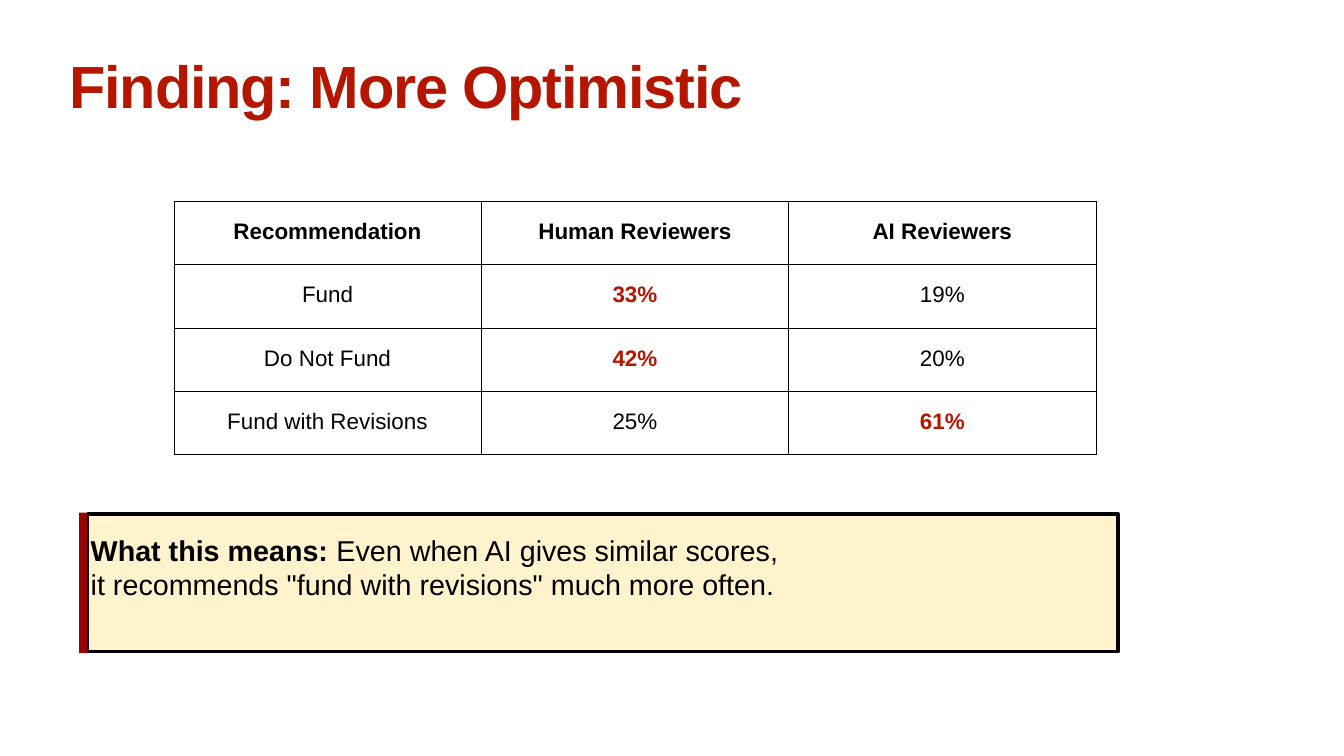
from lxml.etree import SubElement
from pptx import Presentation
from pptx.dml.color import RGBColor
from pptx.enum.shapes import MSO_SHAPE as Shape
from pptx.enum.text import MSO_ANCHOR as Anchor, PP_ALIGN as Align
from pptx.oxml.ns import qn
from pptx.util import Inches, Pt

RED = RGBColor(0xB5, 0x16, 0x00)
DARK_RED = RGBColor(0x99, 0x01, 0x03)
CREAM = RGBColor(0xFF, 0xF3, 0xCD)
BLACK = RGBColor(0, 0, 0)
FONT = "Arial"
INSET = Inches(0.06)

HEADER = ["Recommendation", "Human Reviewers", "AI Reviewers"]
RESULTS = [
    ["Fund", "33%", "19%"],
    ["Do Not Fund", "42%", "20%"],
    ["Fund with Revisions", "25%", "61%"],
]
HIGHLIGHTS = {"33%", "42%", "61%"}
MEANING = [
    [("What this means: ", True), ("Even when AI gives similar scores,", False)],
    [('it recommends "fund with revisions" much more often.', False)],
]


def add_run(paragraph, text, size, color=BLACK, bold=False):
    run = paragraph.add_run()
    run.text = text
    run.font.name = FONT
    run.font.size = Pt(size)
    run.font.bold = bold
    run.font.color.rgb = color
    return run


def set_insets(holder):
    holder.margin_left = holder.margin_right = INSET
    holder.margin_top = holder.margin_bottom = INSET


def set_borders(cell, top, bottom):
    """Draw the four cell edges; widths are in points."""
    properties = cell._tc.get_or_add_tcPr()
    for edge, width in (("L", 1), ("R", 1), ("T", top), ("B", bottom)):
        line = SubElement(properties, qn(f"a:ln{edge}"), w=str(Pt(width)))
        fill = SubElement(line, qn("a:solidFill"))
        SubElement(fill, qn("a:srgbClr"), val=str(BLACK))


def add_title(slide, left, top, width, height):
    title = slide.shapes.add_textbox(left, top, width, height).text_frame
    title.word_wrap = True
    title.vertical_anchor = Anchor.TOP
    set_insets(title)
    heading = title.paragraphs[0]
    heading.line_spacing = 0.8
    run = add_run(heading, "Finding: More Optimistic", 85, RED, True)
    run.font._element.set("spc", "-170")  # tighter letters


def add_results(slide, left, top, width, height):
    rows = [HEADER] + RESULTS
    table = slide.shapes.add_table(
        len(rows), len(HEADER), left, top, width, height).table
    table.horz_banding = False
    for r, row in enumerate(rows):
        for c, text in enumerate(row):
            cell = table.cell(r, c)
            # The rule under the header row is heavier
            set_borders(cell, 3 if r == 1 else 1, 3 if r == 0 else 1)
            cell.fill.background()
            cell.vertical_anchor = Anchor.MIDDLE
            set_insets(cell)
            paragraph = cell.text_frame.paragraphs[0]
            paragraph.alignment = Align.CENTER
            paragraph.line_spacing = 0.9
            strong = text in HIGHLIGHTS
            add_run(paragraph, text, 32, RED if strong else BLACK,
                    strong or r == 0)


def add_meaning(slide, left, top, width, height):
    callout = slide.shapes.add_group_shape()
    bar_width, rim = Inches(0.16), Inches(0.03)

    # Cream panel with the explanation
    panel = callout.shapes.add_shape(
        Shape.RECTANGLE, left + bar_width + Inches(0.01), top + rim,
        width - bar_width - Inches(0.01), height - 2 * rim)
    panel.shadow.inherit = False
    panel.fill.solid()
    panel.fill.fore_color.rgb = CREAM
    panel.line.color.rgb = BLACK
    panel.line.width = Pt(5)
    frame = panel.text_frame
    frame.word_wrap = True
    frame.vertical_anchor = Anchor.TOP
    set_insets(frame)
    frame.margin_top = Inches(0.37)
    for i, sentence in enumerate(MEANING):
        paragraph = frame.add_paragraph() if i else frame.paragraphs[0]
        paragraph.alignment = Align.LEFT
        for text, bold in sentence:
            add_run(paragraph, text, 41, bold=bold)

    # Accent bar on the left
    bar = callout.shapes.add_shape(Shape.RECTANGLE, left, top, bar_width, height)
    bar.shadow.inherit = False
    bar.fill.solid()
    bar.fill.fore_color.rgb = DARK_RED
    bar.line.fill.background()


def main():
    deck = Presentation()
    deck.slide_width, deck.slide_height = Inches(26.67), Inches(15)
    slide = deck.slides.add_slide(deck.slide_layouts[6])
    add_title(slide, Inches(1.32), Inches(1.18), Inches(24.03), Inches(1.57))
    add_results(slide, Inches(3.45), Inches(3.99), Inches(18.3), Inches(5.03))
    add_meaning(slide, Inches(1.57), Inches(10.17), Inches(20.62), Inches(2.79))
    deck.save("out.pptx")


if __name__ == "__main__":
    main()
